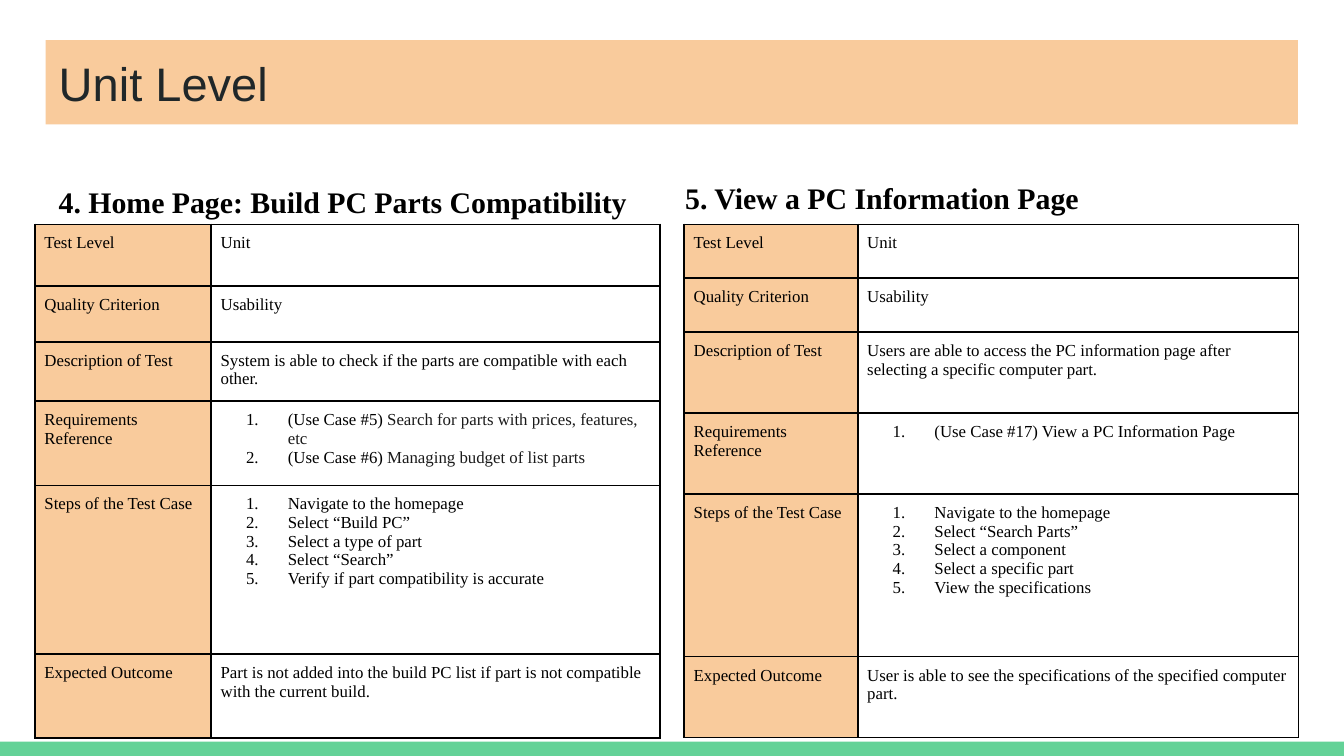
from lxml import etree
from pptx import Presentation
from pptx import util as u
from pptx.dml.color import RGBColor
from pptx.enum import shapes, text
from pptx.oxml import ns

PEACH = RGBColor(0xF9, 0xCB, 0x9C)
GREEN = RGBColor(0x63, 0xD2, 0x97)
TITLE_INK = RGBColor(0x20, 0x27, 0x29)
BLACK = RGBColor(0, 0, 0)
DARK_GREY = RGBColor(0x1A, 0x1A, 0x1A)
SERIF = "Times New Roman"
LABELS = ["Test Level", "Quality Criterion", "Description of Test", "Requirements Reference",
          "Steps of the Test Case", "Expected Outcome"]
TEST_CASES = [
    {
        "heading": "4. Home Page: Build PC Parts Compatibility",
        "heading_box": (0.86, 3.2, 11.38, 1.14),
        "anchor": text.MSO_ANCHOR.MIDDLE,
        "origin": (0.66, 4.24),
        "columns": (3.33, 8.48),
        "rows": (1.17, 1.05, 1.11, 1.59, 3.19, 1.59),
        "values": [
            "Unit",
            "Usability",
            "System is able to check if the parts are compatible with each other.",
            [("(Use Case #5) ", "Search for parts with prices, features, etc"),
             ("(Use Case #6) ", "Managing budget of list parts")],
            [("Navigate to the homepage",), ("Select “Build PC”",), ("Select a type of part",),
             ("Select “Search”",), ("Verify if part compatibility is accurate",)],
            "Part is not added into the build PC list if part is not compatible "
            "with the current build.",
        ],
    },
    {
        "heading": "5. View a PC Information Page",
        "heading_box": (12.7, 3.05, 9.83, 1.19),
        "anchor": text.MSO_ANCHOR.TOP,
        "origin": (12.93, 4.24),
        "columns": (3.28, 8.33),
        "rows": (1.02, 1.02, 1.53, 1.53, 3.07, 1.53),
        "values": [
            "Unit",
            "Usability",
            "Users are able to access the PC information page after selecting "
            "a specific computer part.",
            [("(Use Case #17) View a PC Information Page",)],
            [("Navigate to the homepage",), ("Select “Search Parts”",), ("Select a component",),
             ("Select a specific part",), ("View the specifications",)],
            "User is able to see the specifications of the specified computer part.",
        ],
    },
]


def format_run(run, size, color, name=SERIF, bold=False):
    """Give a run its font, size, colour and weight."""
    run.font.name, run.font.size, run.font.bold = name, u.Pt(size), bold
    run.font.color.rgb = color


def set_insets(frame, inset):
    """Set four equal margins on a text frame or cell."""
    frame.margin_left = frame.margin_right = u.Cm(inset)
    frame.margin_top = frame.margin_bottom = u.Cm(inset)


def add_solid_fill(parent, color):
    """Append a solid fill element to a line."""
    fill = etree.SubElement(parent, ns.qn("a:solidFill"))
    etree.SubElement(fill, ns.qn("a:srgbClr"), val=str(color))


def add_borders(cell):
    """Draw a thin black line on every side of a cell."""
    properties = cell._tc.get_or_add_tcPr()
    for index, side in enumerate(("lnL", "lnR", "lnT", "lnB")):
        line = etree.Element(ns.qn(f"a:{side}"), w=str(u.Pt(1)))
        add_solid_fill(line, BLACK)
        properties.insert(index, line)


def number_paragraph(paragraph):
    """Turn a paragraph into a numbered item with a hanging indent."""
    properties = paragraph._p.get_or_add_pPr()
    properties.set("marL", str(u.Cm(1.27)))
    properties.set("indent", str(u.Cm(-0.79)))
    color = etree.SubElement(properties, ns.qn("a:buClr"))
    etree.SubElement(color, ns.qn("a:srgbClr"), val=str(BLACK))
    etree.SubElement(properties, ns.qn("a:buAutoNum"), type="arabicPeriod")


def fill_cell(cell, content, color=None):
    """Write plain text or a numbered list in a bordered cell."""
    numbered = isinstance(content, list)
    items = content if numbered else [(content,)]
    set_insets(cell, 0.18)
    cell.text_frame.text = "\n".join(item[0] for item in items)
    for paragraph, item in zip(cell.text_frame.paragraphs, items):
        for extra in item[1:]:
            paragraph.add_run().text = extra
        for run, ink in zip(paragraph.runs, (BLACK, DARK_GREY)):
            format_run(run, 9, ink)
        if numbered:
            number_paragraph(paragraph)
    if color is None:
        cell.fill.background()
    else:
        cell.fill.solid()
        cell.fill.fore_color.rgb = color
    add_borders(cell)


def place_title(slide, box):
    """Place the title on its peach band."""
    title = slide.shapes.title
    title.left, title.top, title.width, title.height = map(u.Cm, box)
    title.fill.solid()
    title.fill.fore_color.rgb = PEACH
    frame = title.text_frame
    frame.text = "Unit Level"
    frame.vertical_anchor = text.MSO_ANCHOR.MIDDLE
    frame.auto_size = text.MSO_AUTO_SIZE.NONE
    set_insets(frame, 0.25)
    paragraph = frame.paragraphs[0]
    paragraph.alignment = text.PP_ALIGN.LEFT
    format_run(paragraph.runs[0], 25.2, TITLE_INK, "Arial")


def place_footer(slide, box):
    """Place the green strip along the foot of the slide."""
    strip = slide.shapes.add_shape(shapes.MSO_SHAPE.RECTANGLE, *map(u.Cm, box))
    strip.shadow.inherit = False
    strip.fill.solid()
    strip.fill.fore_color.rgb = GREEN
    strip.line.fill.background()


def place_heading(slide, box, heading, anchor):
    """Place the bold heading of one test case."""
    frame = slide.shapes.add_textbox(*map(u.Cm, box)).text_frame
    frame.word_wrap = True
    frame.vertical_anchor = anchor
    set_insets(frame, 0.25)
    frame.text = heading
    frame.paragraphs[0].line_spacing = 1.15
    format_run(frame.paragraphs[0].runs[0], 16, BLACK, bold=True)


def place_test_table(slide, origin, columns, rows, values):
    """Place the table of one test case with its labels on the left."""
    box = (*origin, sum(columns), sum(rows))
    table = slide.shapes.add_table(len(rows), len(columns), *map(u.Cm, box)).table
    table.first_row = table.horz_banding = False
    for column, width in zip(table.columns, columns):
        column.width = u.Cm(width)
    for row, height, label, value in zip(table.rows, rows, LABELS, values):
        row.height = u.Cm(height)
        fill_cell(row.cells[0], label, PEACH)
        fill_cell(row.cells[1], value)


def main():
    """Build and save the slide."""
    presentation = Presentation()
    presentation.slide_width, presentation.slide_height = u.Cm(25.4), u.Cm(14.29)
    slide = presentation.slides.add_slide(presentation.slide_layouts[5])
    place_footer(slide, (0, 14.02, 25.4, 0.27))
    place_title(slide, (0.86, 0.76, 23.67, 1.59))
    for case in TEST_CASES:
        place_heading(slide, case["heading_box"], case["heading"], case["anchor"])
        place_test_table(slide, case["origin"], case["columns"], case["rows"], case["values"])
    presentation.save("out.pptx")


if __name__ == "__main__":
    main()
